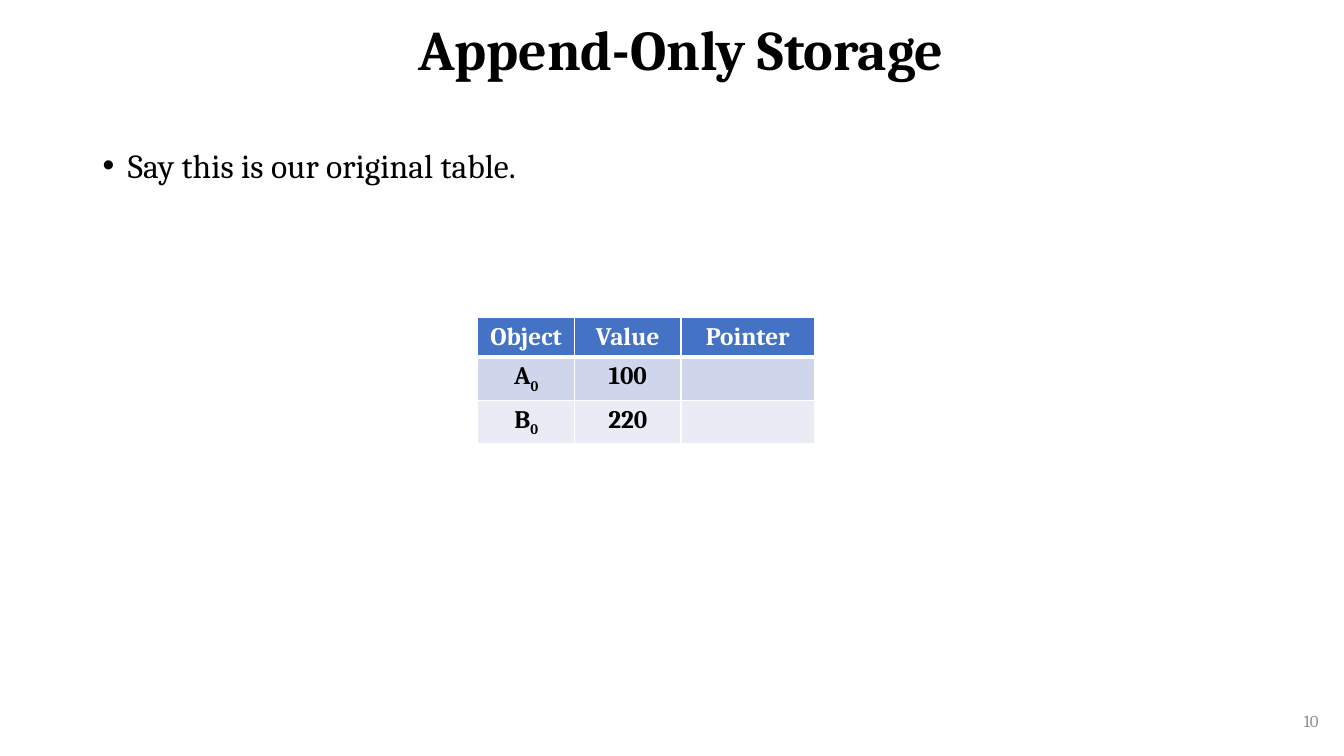
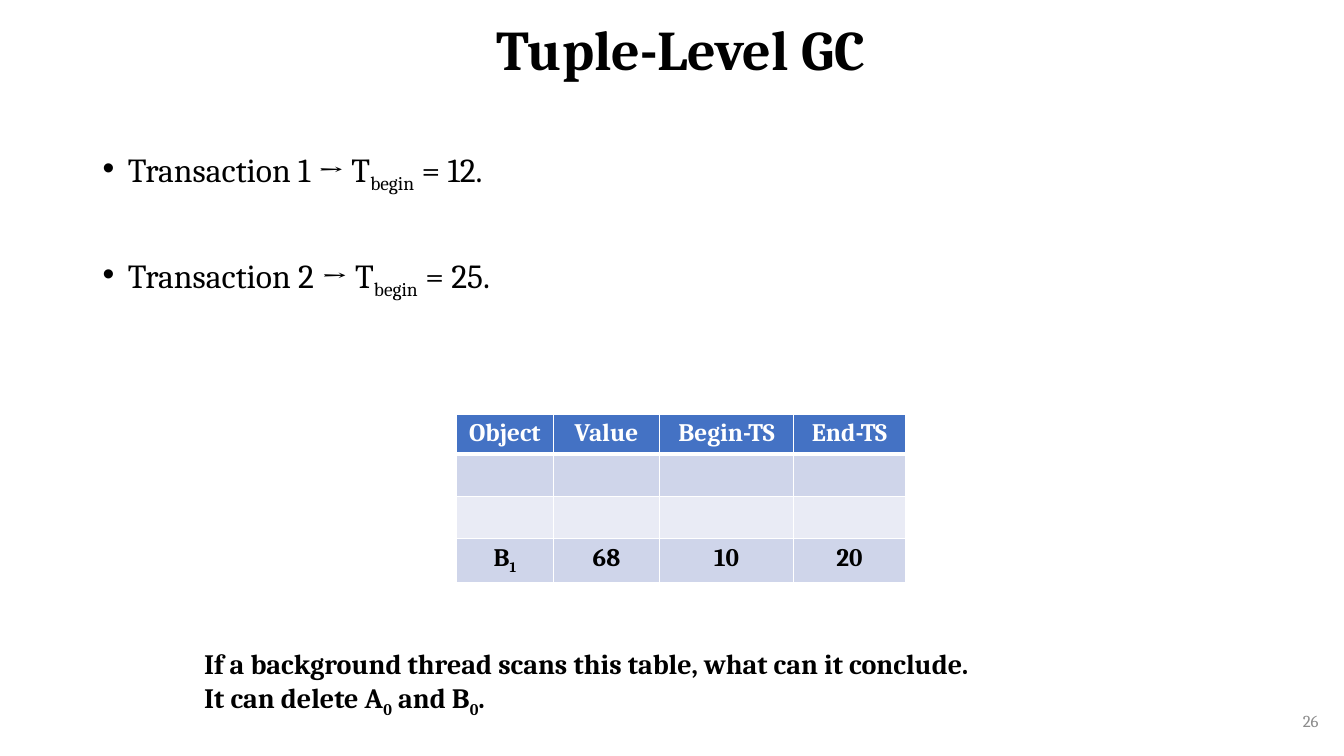
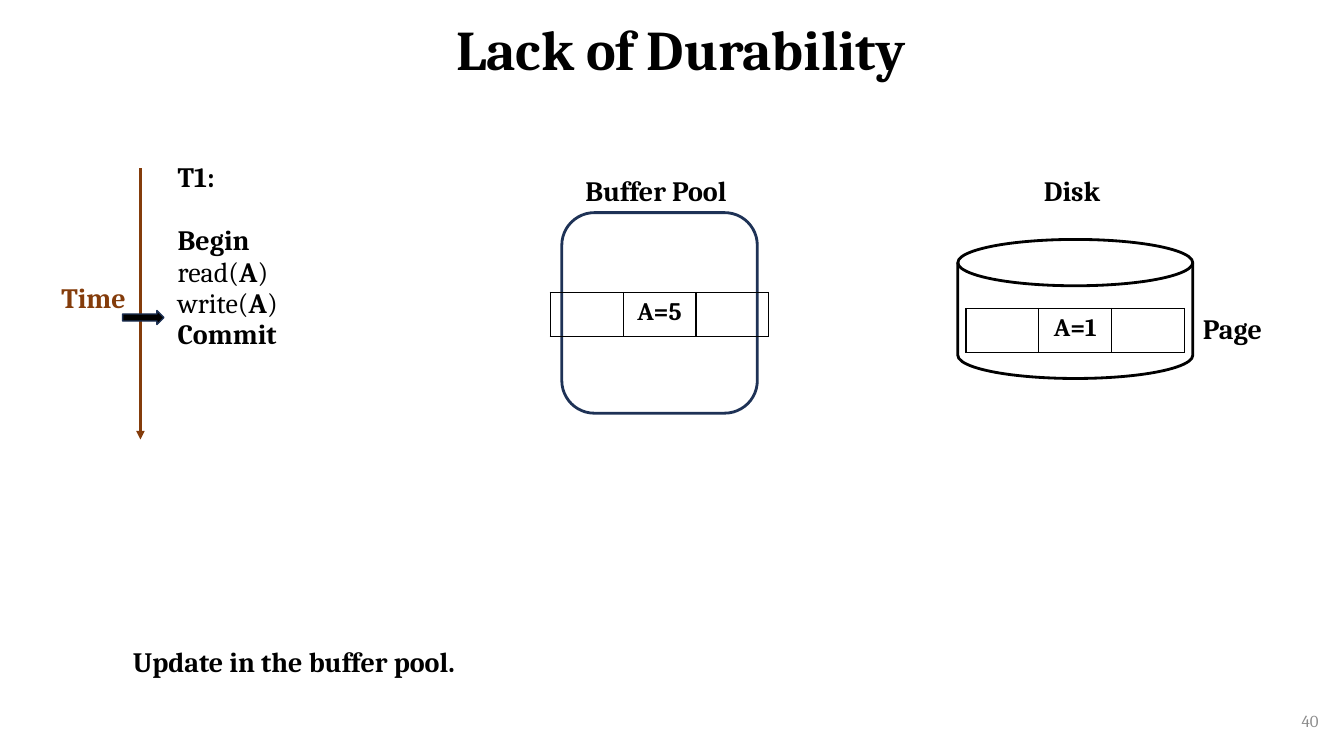
from dataclasses import dataclass

from lxml import etree
from pptx import Presentation
from pptx import util as u
from pptx.dml.color import RGBColor
from pptx.enum import shapes, text
from pptx.oxml import ns

WIDTH, HEIGHT = u.Inches(13.333), u.Inches(7.5)
PLAIN_TABLE = "{2D5ABB26-0587-4C30-8999-92F81FD0307C}"
CENTER, RIGHT = text.PP_ALIGN.CENTER, text.PP_ALIGN.RIGHT


@dataclass(frozen=True)
class Theme:
    font: str = "Cambria"
    ink: str = "000000"
    paper: str = "FFFFFF"
    muted: str = "8C8C8C"
    header: str = "4472C4"
    bands: tuple = ("CFD5EA", "E9EBF5")
    outline: str = "1E3256"
    time: str = "843C0B"
    title: int = 40
    body: int = 24
    label: int = 20
    cell: int = 18
    number: int = 12
    cell_spacing: float = 0.97


T = Theme()
COLUMNS = (7.2, 7.92, 9.95, 8.35)
HEADER_ROW, BODY_ROW = 5.13, 5.63
STRIP_COLUMN, STRIP_ROW = 5.42, 5.8
LABEL_HEIGHT = 5.87
LABEL_TOP = 22.27


def px(share):
    """Length for a percentage of the slide's width."""
    return round(WIDTH * share / 100)


def py(share):
    """Length for a percentage of the slide's height."""
    return round(HEIGHT * share / 100)


def place(box):
    x, y, w, h = box
    return px(x), py(y), px(w), py(h)


def rgb(value):
    return RGBColor.from_string(value)


def add_xml(parent, tag, **attrs):
    return etree.SubElement(parent, ns.qn(tag), attrs)


def set_attrs(obj, values):
    for name, value in values.items():
        setattr(obj, name, value)


def sub(s):
    return s, {"subscript": True}


def bold(s):
    return s, {"bold": True}


def write(p, runs, size, color=T.ink, weight=False, **para):
    """Fill a paragraph; a run is a string or a (string, format) pair."""
    set_attrs(p, para)
    for item in [runs] if isinstance(runs, str) else runs:
        s, fmt = (item, {}) if isinstance(item, str) else item
        if not s:
            continue
        r = p.add_run()
        r.text = s
        set_attrs(r.font, {"name": T.font, "size": u.Pt(size),
                           "bold": fmt.get("bold", weight)})
        r.font.color.rgb = rgb(color)
        if fmt.get("subscript"):
            r._r.get_or_add_rPr().set("baseline", "-25000")


def write_lines(tf, lines, size, color=T.ink, weight=False, **para):
    ps = [tf.paragraphs[0]] + [tf.add_paragraph() for _ in lines[1:]]
    for p, runs in zip(ps, lines):
        write(p, runs, size, color, weight, **para)
    return ps


def text_box(sl, box, lines, size, color=T.ink, weight=False, frame=None, **para):
    tf = sl.shapes.add_textbox(*place(box)).text_frame
    set_attrs(tf, {"word_wrap": True, **(frame or {})})
    return write_lines(tf, lines, size, color, weight, **para)


def label(sl, box, *lines, color=T.ink):
    """Bold text on unwrapped lines, in a box that fits it."""
    text_box(sl, box, lines, T.label, color, True,
             {"word_wrap": False, "auto_size": text.MSO_AUTO_SIZE.SHAPE_TO_FIT_TEXT})


def bullets(sl, box, lines, gap=10):
    ps = text_box(sl, box, lines, T.body, line_spacing=0.9, space_before=u.Pt(10))
    for p in ps:
        pPr = p._p.get_or_add_pPr()
        pPr.set("marL", str(u.Inches(0.25)))
        pPr.set("indent", str(-u.Inches(0.25)))
        add_xml(pPr, "a:buFont", typeface="Arial")
        add_xml(pPr, "a:buChar", char="•")
    for p in ps[1:]:
        p.space_before = u.Pt(gap)


def format_cell(cell, fill, border, bottom=1):
    tcPr = cell._tc.get_or_add_tcPr()
    for side in "LRTB":
        width = u.Pt(bottom if side == "B" else 1)
        ln = add_xml(tcPr, f"a:ln{side}", w=str(width))
        add_xml(add_xml(ln, "a:solidFill"), "a:srgbClr", val=border)
    if fill:
        cell.fill.solid()
        cell.fill.fore_color.rgb = rgb(fill)
    else:
        cell.fill.background()


def plain_table(sl, x, y, columns, rows):
    box = x, y, sum(columns), sum(rows)
    table = sl.shapes.add_table(len(rows), len(columns), *place(box)).table
    table._tbl.tblPr.find(ns.qn("a:tableStyleId")).text = PLAIN_TABLE
    set_attrs(table, {"first_row": False, "horz_banding": False})
    for column, w in zip(table.columns, columns):
        column.width = px(w)
    for row, h in zip(table.rows, rows):
        row.height = py(h)
    return table


def version_table(sl, x, y, rows):
    """Table of object versions: header row, then banded rows."""
    heights = [HEADER_ROW] + [BODY_ROW] * (len(rows) - 1)
    table = plain_table(sl, x, y, COLUMNS[:len(rows[0])], heights)
    for i, row in enumerate(rows):
        head = i == 0
        fill = T.header if head else T.bands[(i - 1) % 2]
        for j, runs in enumerate(row):
            cell = table.cell(i, j)
            format_cell(cell, fill, T.paper, 3 if head else 1)
            write(cell.text_frame.paragraphs[0], runs, T.cell,
                  T.paper if head else T.ink, True,
                  alignment=CENTER, line_spacing=T.cell_spacing)


def page_strip(sl, center, y, value):
    x = center - 1.5 * STRIP_COLUMN
    table = plain_table(sl, x, y, [STRIP_COLUMN] * 3, [STRIP_ROW])
    for j, s in enumerate(("", value, "")):
        cell = table.cell(0, j)
        format_cell(cell, None, T.ink)
        write(cell.text_frame.paragraphs[0], s, T.cell, weight=True, alignment=CENTER)


def schedule(sl, x, y, w, h, name, steps):
    """Borderless table cell with a transaction's name and, below a gap, its steps."""
    cell = plain_table(sl, x, y, [w], [h]).cell(0, 0)
    cell.fill.background()
    cell.margin_top = u.Inches(0.03)
    ps = write_lines(cell.text_frame, [name, *steps], T.label,
                     line_spacing=T.cell_spacing)
    ps[1].space_before = u.Pt(23)


def outline_shape(sl, kind, box, line, width, fill=None):
    sp = sl.shapes.add_shape(kind, *place(box))
    sp.shadow.inherit = False
    if fill:
        sp.fill.solid()
        sp.fill.fore_color.rgb = rgb(fill)
    else:
        sp.fill.background()
    sp.line.color.rgb = rgb(line)
    sp.line.width = u.Pt(width)


def store(sl, kind, box, line, name, name_width, strip_top, value):
    """A place that holds a page, with its name above and the page across it."""
    center = box[0] + box[2] / 2
    outline_shape(sl, kind, box, line, 2)
    label(sl, (center - name_width / 2, LABEL_TOP, name_width, LABEL_HEIGHT), name)
    page_strip(sl, center, strip_top, value)


def arrow_line(sl, x, top, bottom, color, width):
    cn = sl.shapes.add_connector(shapes.MSO_CONNECTOR.STRAIGHT,
                                 px(x), py(top), px(x), py(bottom))
    cn.line.color.rgb = rgb(color)
    cn.line.width = u.Pt(width)
    add_xml(cn.line._get_or_add_ln(), "a:tailEnd", type="triangle")
    add_xml(cn._element.spPr, "a:effectLst")


def new_slide(prs, title, number):
    sl = prs.slides.add_slide(prs.slide_layouts[6])
    middle = {"vertical_anchor": text.MSO_ANCHOR.MIDDLE}
    text_box(sl, (76.35, 92.67, 22.5, 5.33), [str(number)], T.number, T.muted,
             frame=middle, alignment=RIGHT)
    text_box(sl, (7.53, 0.27, 86.25, 13.2), [title], T.title, weight=True,
             frame=middle, alignment=CENTER, line_spacing=0.9)
    return sl


def append_only(prs):
    sl = new_slide(prs, "Append-Only Storage", 10)
    bullets(sl, (6.9, 19.07, 84.9, 9.33), ["Say this is our original table."])
    version_table(sl, 35.55, 42, [
        ("Object", "Value", "Pointer"),
        (["A", sub("0")], "100", ""),
        (["B", sub("0")], "220", ""),
    ])


def tuple_level_gc(prs):
    sl = new_slide(prs, "Tuple-Level GC", 26)
    begins = ((1, 12), (2, 25))
    bullets(sl, (6.9, 19.07, 89.7, 21.73),
            [[f"Transaction {n} → T", sub("begin"), f" = {ts}."] for n, ts in begins],
            gap=46.5)
    version_table(sl, 33.97, 54.8, [
        ("Object", "Value", "Begin-TS", "End-TS"),
        ("",) * 4,
        ("",) * 4,
        (["B", sub("1")], "68", "10", "20"),
    ])
    label(sl, (14.45, 84.87, 59.93, 10.27),
          "If a background thread scans this table, what can it conclude.",
          ["It can delete A", sub("0"), " and B", sub("0"), "."])


def lack_of_durability(prs):
    sl = new_slide(prs, "Lack of Durability", 40)
    schedule(sl, 12.47, 21.07, 16.28, 44.8, [bold("T1:")], [
        [bold("Begin")],
        ["read(", bold("A"), ")"],
        ["write(", bold("A"), ")"],
        [bold("Commit")],
    ])
    arrow_line(sl, 10.45, LABEL_TOP, 58.13, T.time, 2)
    label(sl, (3.83, 36.4, 6.68, 3.2), "Time", color=T.time)
    kind = shapes.MSO_SHAPE
    outline_shape(sl, kind.RIGHT_ARROW, (9.12, 41.07, 3.08, 1.87), T.outline, 1, T.ink)

    store(sl, kind.ROUNDED_RECTANGLE, (41.8, 28.13, 14.55, 26.53), T.outline,
          "Buffer Pool", 12.53, 38.67, "A=5")
    store(sl, kind.FLOWCHART_MAGNETIC_DISK, (71.27, 31.67, 17.48, 18.4), T.ink,
          "Disk", 6.15, 40.8, "A=1")
    label(sl, (88.77, 40.53, 6.08, LABEL_HEIGHT), "Page")
    label(sl, (9.15, 84.6, 26.55, LABEL_HEIGHT), "Update in the buffer pool.")


def main():
    prs = Presentation()
    set_attrs(prs, {"slide_width": WIDTH, "slide_height": HEIGHT})
    for build in (append_only, tuple_level_gc, lack_of_durability):
        build(prs)
    prs.save("out.pptx")


if __name__ == "__main__":
    main()
